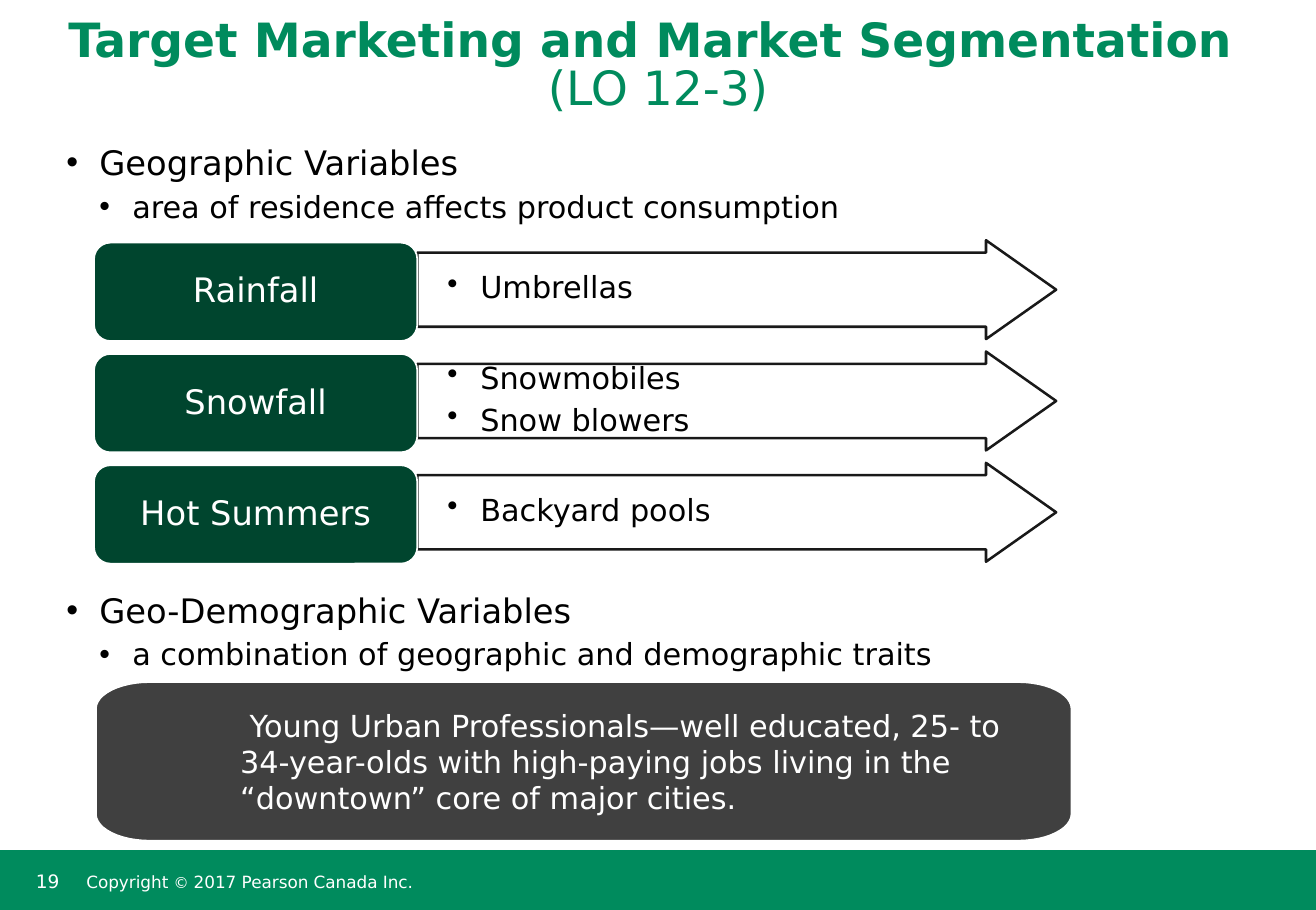
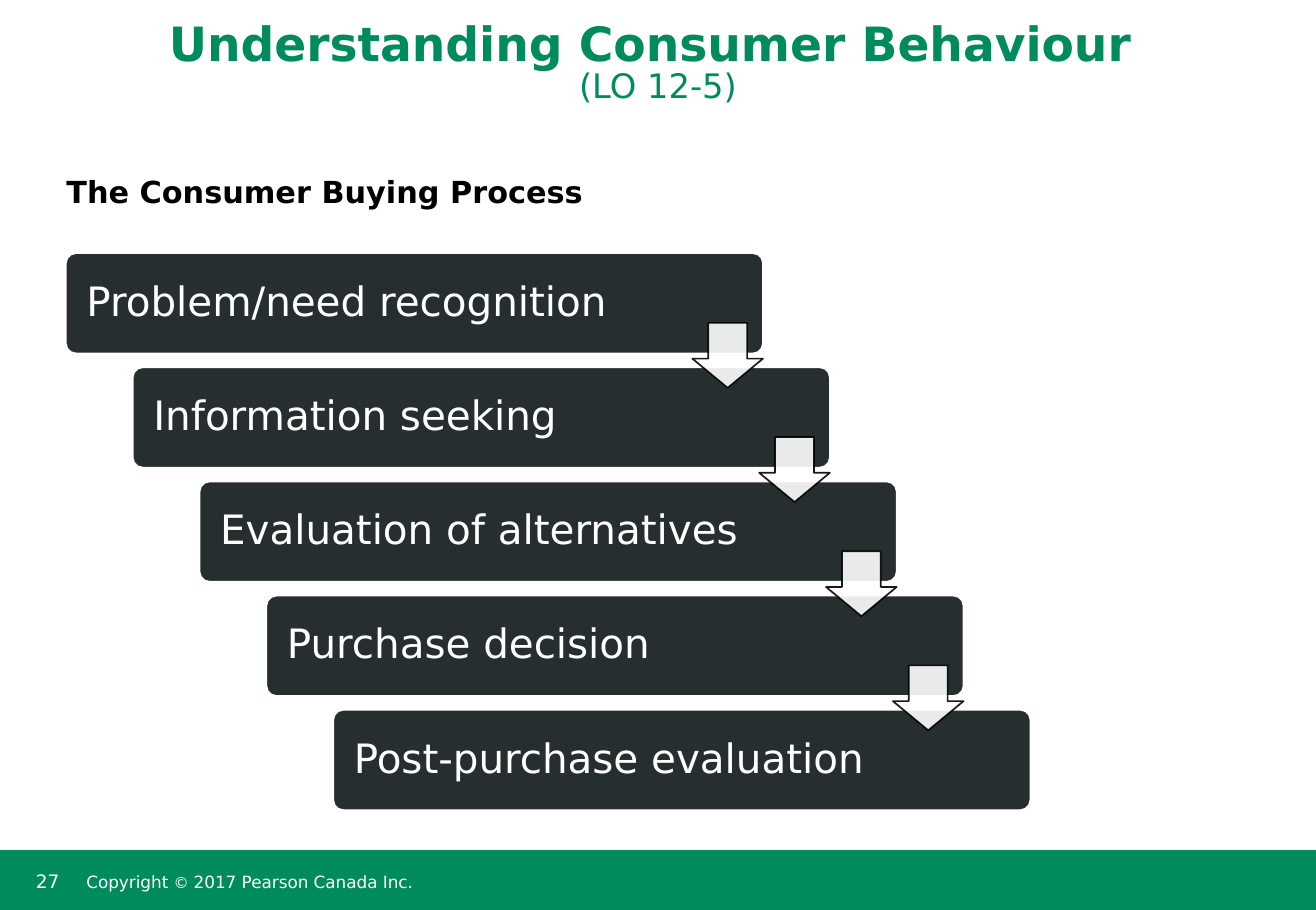
from math import cos, pi, sin

from lxml.etree import SubElement
from pptx import Presentation
from pptx.dml.color import RGBColor
from pptx.enum.shapes import MSO_SHAPE as Preset
from pptx.enum.text import MSO_ANCHOR as Anchor, MSO_AUTO_SIZE as AutoSize, PP_ALIGN as Align
from pptx.oxml.ns import qn
from pptx.util import Cm, Pt

FONT = "DejaVu Sans"
GREEN, DARK_GREEN, SLATE, GREY = "008B5D", "00452E", "272E30", "404040"
WHITE, BLACK = "FFFFFF", "000000"
WIDTH, HEIGHT = 27.56, 19.05
BAND_TOP, BAND_HEIGHT = 17.8, 1.25
HANG = 0.69
COPYRIGHT = [("Copyright ", 10), ("© ", 9), ("2017 Pearson Canada Inc.", 10)]


def rgb(code):
    """Turn a hex string into a colour."""
    return RGBColor.from_string(code)


def place(shape, left, top, width, height):
    """Move and size a shape, in centimetres."""
    shape.left, shape.top, shape.width, shape.height = map(Cm, (left, top, width, height))


def set_frame(shape, anchor=Anchor.MIDDLE, insets=(0.25, 0.13, 0.25, 0.13)):
    """Set wrapping, anchor and insets of a text frame and return it."""
    frame = shape.text_frame
    frame.word_wrap = True
    frame.auto_size = AutoSize.NONE
    frame.vertical_anchor = anchor
    frame.margin_left, frame.margin_top, frame.margin_right, frame.margin_bottom = map(Cm, insets)
    return frame


def set_indent(para, margin, first=0.0, bullet=None):
    """Set the left margin, first-line indent and bullet of a paragraph."""
    props = para._p.get_or_add_pPr()
    props.set("marL", str(Cm(margin)))
    props.set("indent", str(Cm(first)))
    if bullet:
        SubElement(props, qn("a:buChar")).set("char", bullet)
    else:
        SubElement(props, qn("a:buNone"))


def style(para, size, color, bold=False, align=Align.LEFT, line=0.85, after=6.5, before=0):
    """Set the spacing, alignment and font of a paragraph."""
    para.alignment, para.line_spacing = align, line
    para.space_before, para.space_after = Pt(before), Pt(after)
    font = para.font
    font.name, font.size, font.bold = FONT, Pt(size), bold
    font.color.rgb = rgb(color)


def add_span(para, text, size, bold=False):
    """Add a run with its own size and weight."""
    span = para.add_run()
    span.text = text
    span.font.size, span.font.bold = Pt(size), bold


def paint(shape, fill, line=None, weight=1.0, opacity=100):
    """Set fill, outline and opacity of a shape without shadow."""
    shape.shadow.inherit = False
    shape.fill.solid()
    shape.fill.fore_color.rgb = rgb(fill)
    if line is None:
        shape.line.fill.background()
        return
    shape.line.color.rgb = rgb(line)
    shape.line.width = Pt(weight)
    if opacity < 100:
        for color in shape._element.spPr.iter(qn("a:srgbClr")):
            SubElement(color, qn("a:alpha")).set("val", str(opacity * 1000))


def add_preset(page, preset, area, adjustments=()):
    """Add a preset shape with its adjustments."""
    shape = page.shapes.add_shape(preset, *map(Cm, area))
    for index, value in enumerate(adjustments):
        shape.adjustments[index] = value
    return shape


def add_card(page, area, text, fill, size, radius, align, insets, after):
    """Add a rounded card with one line of white text."""
    card = add_preset(page, Preset.ROUNDED_RECTANGLE, area, [radius])
    paint(card, fill, WHITE)
    para = set_frame(card, insets=insets).paragraphs[0]
    para.text = text
    style(para, size, WHITE, align=align, line=0.9, after=after)


def add_bullet_arrow(page, area, items):
    """Add a right arrow that holds a bulleted list."""
    arrow = add_preset(page, Preset.RIGHT_ARROW, area, [0.75, 0.71])
    paint(arrow, WHITE, BLACK, 1.5, 90)
    frame = set_frame(arrow, insets=(0.05, 0, 0, 0))
    for index, item in enumerate(items):
        para = frame.add_paragraph() if index else frame.paragraphs[0]
        para.text = item
        set_indent(para, 1.27, -HANG, "•")
        style(para, 18, BLACK)


def add_oval_cornered(page, left, top, width, height, radius_x, radius_y):
    """Add a rectangle whose corners are quarter ellipses."""
    points = []
    for quarter in range(4):
        center_x = left + (width - radius_x if quarter in (0, 3) else radius_x)
        center_y = top + (height - radius_y if quarter < 2 else radius_y)
        for step in range(13):
            angle = (quarter + step / 12) * pi / 2
            points.append((Cm(center_x + radius_x * cos(angle)), Cm(center_y + radius_y * sin(angle))))
    builder = page.shapes.build_freeform(*points[0])
    builder.add_line_segments(points[1:])
    return builder.convert_to_shape()


def add_band(page, number):
    """Add the green footer band with page number and copyright line."""
    band = add_preset(page, Preset.RECTANGLE, (0, BAND_TOP, WIDTH, BAND_HEIGHT))
    paint(band, GREEN)
    box = page.shapes.add_textbox(Cm(0.5), Cm(18.08), Cm(1.2), Cm(0.8))
    para = set_frame(box, Anchor.TOP).paragraphs[0]
    para.text = str(number)
    style(para, 11, WHITE, line=1, after=0)
    box = page.shapes.add_textbox(Cm(1.68), Cm(BAND_TOP), Cm(14.68), Cm(BAND_HEIGHT))
    para = set_frame(box, insets=(0.13, 0.25, 0.13, 0.13)).paragraphs[0]
    style(para, 10, WHITE, after=0)
    for text, size in COPYRIGHT:
        add_span(para, text, size)


def add_page(deck, number, title, objective, objective_size, title_height):
    """Add a slide with footer band and two-line title."""
    page = deck.slides.add_slide(deck.slide_layouts[1])
    add_band(page, number)
    place(page.shapes.title, 0, 0, WIDTH, title_height)
    para = set_frame(page.shapes.title, Anchor.BOTTOM).paragraphs[0]
    style(para, 28, GREEN, align=Align.CENTER)
    add_span(para, title + " ", 28, True)
    para.add_line_break()
    add_span(para, objective, objective_size)
    return page


def fill_body(page, area, items):
    """Fill the body with (text, level, space before) bullets."""
    body = page.placeholders[1]
    place(body, *area)
    frame = set_frame(body, Anchor.TOP)
    for index, (text, level, before) in enumerate(items):
        para = frame.add_paragraph() if index else frame.paragraphs[0]
        para.text, para.level = text, level
        set_indent(para, HANG * (level + 1), -HANG, "•")
        style(para, 18 if level else 20, BLACK, before=before)


def build_segmentation(deck):
    """Build the slide on geographic variables."""
    page = add_page(deck, 19, "Target Marketing and Market Segmentation", "(LO 12-3)", 28, 2.54)
    fill_body(page, (1.14, 2.97, 25.5, 14.6), [
        ("Geographic Variables", 0, 0),
        ("area of residence affects product consumption", 1, 0),
        ("Geo-Demographic Variables", 0, 214),
        ("a combination of geographic and demographic traits", 1, 0),
    ])
    climates = [
        ("Rainfall", ["Umbrellas"]),
        ("Snowfall", ["Snowmobiles", "Snow blowers"]),
        ("Hot Summers", ["Backyard pools"]),
    ]
    for row, (climate, products) in enumerate(climates):
        top = 5.08 + 2.33 * row
        add_bullet_arrow(page, (8.74, top - 0.05, 13.38, 2.07), products)
        add_card(page, (1.97, top, 6.77, 2.06), climate, DARK_GREEN, 20, 0.167,
                 Align.CENTER, (0.3, 0.1, 0.3, 0.1), 8.8)
    box = add_oval_cornered(page, 2.01, 14.28, 20.43, 3.32, 1.12, 0.56)
    paint(box, GREY, WHITE)
    para = set_frame(box, insets=(0.48, 0.3, 0.48, 0.3)).paragraphs[0]
    para.text = ("Young Urban Professionals—well educated, 25- to 34-year-olds with "
                 "high-paying jobs living in the “downtown” core of major cities.")
    set_indent(para, 2.54, 0.2)
    style(para, 18, WHITE, line=1, after=0)


def build_buying_process(deck):
    """Build the staircase of buying steps."""
    page = add_page(deck, 27, "Understanding Consumer Behaviour", "(LO 12-5)", 20, 2.34)
    body = page.placeholders[1]
    place(body, 1.14, 3.61, 25.27, 1.7)
    para = set_frame(body, Anchor.TOP).paragraphs[0]
    para.text = "The Consumer Buying Process"
    set_indent(para, 0)
    style(para, 18, BLACK, bold=True)
    steps = ["Problem/need recognition", "Information seeking", "Evaluation of alternatives",
             "Purchase decision", "Post-purchase evaluation"]
    corners = [(1.38 + 1.4 * index, 5.3 + 2.39 * index) for index in range(len(steps))]
    for (left, top), step in zip(corners, steps):
        add_card(page, (left, top, 14.6, 2.1), step, SLATE, 24, 0.1,
                 Align.LEFT, (0.37, 0.37, 2.8, 0.37), 10.5)
    for left, top in corners[:-1]:
        arrow = add_preset(page, Preset.DOWN_ARROW, (left + 13.12, top + 1.46, 1.48, 1.36), [0.55, 0.45])
        paint(arrow, WHITE, BLACK, 1, 90)


def main():
    """Build and save the deck."""
    deck = Presentation()
    deck.slide_width, deck.slide_height = Cm(WIDTH), Cm(HEIGHT)
    build_segmentation(deck)
    build_buying_process(deck)
    deck.save("out.pptx")


if __name__ == "__main__":
    main()
